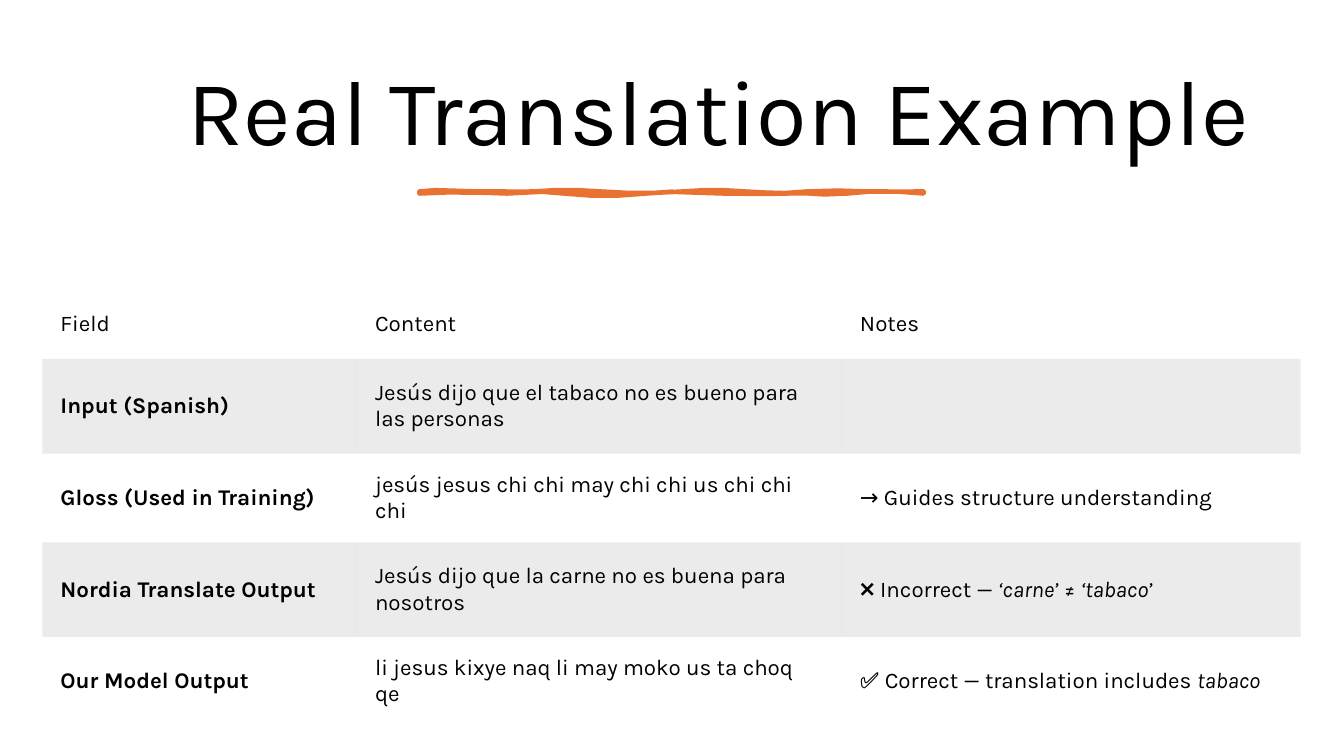
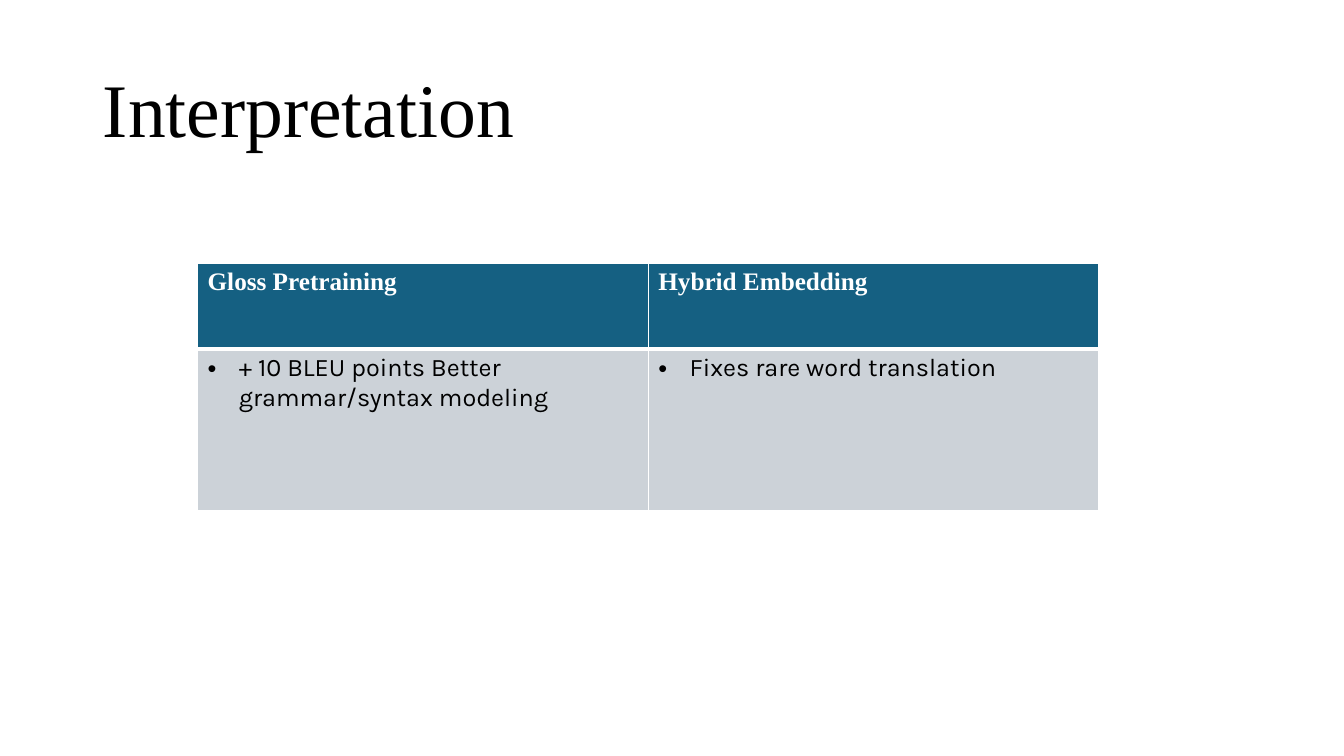
"""Build two slides about translation results."""
from dataclasses import dataclass
from typing import NamedTuple

from lxml import etree
from pptx import Presentation
from pptx import util as u
from pptx.dml.color import RGBColor
from pptx.enum import text
from pptx.oxml.ns import qn

PX = 9144


@dataclass(frozen=True)
class Theme:
    """Hold the shared colours, fonts and type sizes."""
    ink: str = "000000"
    paper: str = "FFFFFF"
    accent: str = "E97132"
    header: str = "156082"
    body: str = "CCD2D8"
    sans: str = "Karla"
    serif: str = "Times New Roman"
    title_large: int = 66
    title: int = 54
    cell_large: int = 18
    cell: int = 16
    band_alpha: int = 8


class Box(NamedTuple):
    """Give a position and size in px."""
    x: int
    y: int
    w: int
    h: int


class Span(NamedTuple):
    """Give a stretch of text with its emphasis."""
    text: str
    bold: bool = False
    italic: bool = False


class Margins(NamedTuple):
    """Give the inner margins of a cell in px."""
    left: int = 10
    top: int = 5
    right: int = 10
    bottom: int = 5


@dataclass(frozen=True)
class CellStyle:
    """Describe how a table cell looks."""
    font: str
    size: int
    color: str
    fill: str | None = None
    alpha: int | None = None
    margins: Margins = Margins()
    anchor: text.MSO_ANCHOR = text.MSO_ANCHOR.TOP
    borders: tuple[int, int, int, int] = (0, 0, 0, 0)
    bullet: bool = False


T = Theme()
ROOMY = Margins(18, 18, 20, 18)
PLAIN = CellStyle(T.sans, T.cell, T.ink, margins=ROOMY, anchor=text.MSO_ANCHOR.MIDDLE)
BAND = CellStyle(T.sans, T.cell, T.ink, T.ink, T.band_alpha, ROOMY, text.MSO_ANCHOR.MIDDLE)
HEAD = CellStyle(T.serif, T.cell_large, T.paper, T.header, borders=(1, 1, 1, 3))
POINT = CellStyle(T.sans, T.cell_large, T.ink, T.body, borders=(1, 1, 3, 1), bullet=True)

EXAMPLE_ROWS = [
    [[Span("Field")], [Span("Content")], [Span("Notes")]],
    [[Span("Input (Spanish)", bold=True)],
     [Span("Jesús dijo que el tabaco no es bueno para las personas")],
     []],
    [[Span("Gloss (Used in Training)", bold=True)],
     [Span("jesús jesus chi chi may chi chi us chi chi chi")],
     [Span("→ Guides structure understanding")]],
    [[Span("Nordia Translate Output", bold=True)],
     [Span("Jesús dijo que la carne no es buena para nosotros")],
     [Span("❌ Incorrect — "), Span("‘carne’", italic=True), Span(" ≠ "),
      Span("‘tabaco’", italic=True)]],
    [[Span("Our Model Output", bold=True)],
     [Span("li jesus kixye naq li may moko us ta choq qe")],
     [Span("✅ Correct — translation includes "), Span("tabaco", italic=True)]],
]

FINDING_ROWS = [
    [[Span("Gloss Pretraining", bold=True)], [Span("Hybrid Embedding", bold=True)]],
    [[Span("+ 10 BLEU points Better grammar/syntax modeling")],
     [Span("Fixes rare word translation")]],
]

STROKE_START = (416, 190)
STROKE_CURVES = [
    (428, 187, 454, 190, 473, 190), (492, 189, 509, 191, 529, 190),
    (549, 188, 574, 188, 596, 190), (617, 192, 653, 192, 677, 190),
    (702, 188, 714, 188, 739, 190), (763, 191, 774, 193, 800, 190),
    (826, 187, 867, 192, 916, 190), (917, 191, 916, 191, 916, 192),
    (895, 190, 865, 188, 840, 192), (815, 195, 801, 190, 779, 192),
    (756, 193, 747, 192, 717, 192), (687, 192, 667, 188, 641, 192),
    (614, 195, 585, 195, 559, 192), (534, 188, 523, 192, 503, 192),
    (483, 191, 438, 190, 416, 192),
]


def px(n: float) -> u.Emu:
    """Turn px into EMU."""
    return u.Emu(round(n * PX))


def rgb(color: str) -> RGBColor:
    """Turn a hex string into a colour."""
    return RGBColor.from_string(color)


def add_text(p, content: str, *, font: str, size: int, color: str,
             bold: bool = False, italic: bool = False) -> None:
    """Append a formatted run to a paragraph."""
    r = p.add_run()
    r.text = content
    r.font.name = font
    r.font.size = u.Pt(size)
    r.font.color.rgb = rgb(color)
    r.font.bold = bold
    r.font.italic = italic


def set_indent(p, left: int, first: int = 0):
    """Indent a paragraph and return its properties element."""
    p_pr = p._p.get_or_add_pPr()
    p_pr.set("marL", str(px(left)))
    p_pr.set("indent", str(px(first)))
    return p_pr


def add_titled_slide(prs, title: str, box: Box, *, font: str, size: int,
                     align: text.PP_ALIGN, indent: int = 0):
    """Add a slide and format its title placeholder."""
    s = prs.slides.add_slide(prs.slide_layouts[5])
    sp = s.shapes.title
    sp.left, sp.top, sp.width, sp.height = map(px, box)
    tf = sp.text_frame
    tf.word_wrap = True
    tf.auto_size = text.MSO_AUTO_SIZE.NONE
    tf.vertical_anchor = text.MSO_ANCHOR.MIDDLE
    p = tf.paragraphs[0]
    p.alignment = align
    p.line_spacing = 0.9
    set_indent(p, indent)
    add_text(p, title, font=font, size=size, color=T.ink)
    return s


def set_borders(tc_pr, widths: tuple[int, int, int, int]) -> None:
    """Set left, right, top and bottom borders, hiding those of zero width."""
    for i, (side, width) in enumerate(zip("LRTB", widths)):
        ln = etree.Element(qn(f"a:ln{side}"), w=str(u.Pt(width)))
        if width:
            fill = etree.SubElement(ln, qn("a:solidFill"))
            etree.SubElement(fill, qn("a:srgbClr"), val=T.paper)
        else:
            etree.SubElement(ln, qn("a:noFill"))
        tc_pr.insert(i, ln)


def fill_cell(cell, spans: list[Span], style: CellStyle) -> None:
    """Write and format one table cell."""
    (cell.margin_left, cell.margin_top,
     cell.margin_right, cell.margin_bottom) = map(px, style.margins)
    cell.vertical_anchor = style.anchor
    tc_pr = cell._tc.get_or_add_tcPr()
    if style.fill:
        cell.fill.solid()
        cell.fill.fore_color.rgb = rgb(style.fill)
    else:
        cell.fill.background()
    if style.alpha:
        clr = tc_pr.find(f".//{qn('a:srgbClr')}")
        etree.SubElement(clr, qn("a:alpha"), val=str(style.alpha * 1000))
    set_borders(tc_pr, style.borders)
    p = cell.text_frame.paragraphs[0]
    if style.bullet:
        p_pr = set_indent(p, 31, -31)
        etree.SubElement(p_pr, qn("a:buFont"), typeface="Arial")
        etree.SubElement(p_pr, qn("a:buChar"), char="•")
    for span in spans:
        add_text(p, span.text, font=style.font, size=style.size, color=style.color,
                 bold=span.bold, italic=span.italic)


def add_grid(s, box: Box, cols: list[int], heights: list[int],
             rows: list[list[list[Span]]], styles: list[CellStyle]) -> None:
    """Add a table with one style per row."""
    table = s.shapes.add_table(len(rows), len(cols), *map(px, box)).table
    table.first_row = table.horz_banding = False
    for col, width in zip(table.columns, cols):
        col.width = px(width)
    for row, height, contents, style in zip(table.rows, heights, rows, styles):
        row.height = px(height)
        for cell, spans in zip(row.cells, contents):
            fill_cell(cell, spans, style)


def curve_points(start: tuple[int, int], curves: list[tuple[int, ...]],
                 steps: int = 3) -> list[tuple[int, int]]:
    """Sample a chain of cubic curves as EMU points."""
    points = []
    x0, y0 = start
    for x1, y1, x2, y2, x3, y3 in curves:
        for i in range(1, steps + 1):
            t = i / steps
            a, b, c, d = (1 - t) ** 3, 3 * t * (1 - t) ** 2, 3 * t * t * (1 - t), t ** 3
            points.append((px(a * x0 + b * x1 + c * x2 + d * x3),
                           px(a * y0 + b * y1 + c * y2 + d * y3)))
        x0, y0 = x3, y3
    return points


def add_brush_stroke(s) -> None:
    """Draw the wavy underline below the title."""
    builder = s.shapes.build_freeform(*map(px, STROKE_START))
    builder.add_line_segments(curve_points(STROKE_START, STROKE_CURVES), close=True)
    sp = builder.convert_to_shape()
    sp.shadow.inherit = False
    sp.fill.solid()
    sp.fill.fore_color.rgb = rgb(T.accent)
    sp.line.color.rgb = rgb(T.accent)
    sp.line.width = u.Pt(3.25)


def main() -> None:
    """Build and save the presentation."""
    prs = Presentation()
    prs.slide_width, prs.slide_height = px(1333), px(750)

    s = add_titled_slide(prs, "Real Translation Example", Box(70, 46, 1193, 137),
                         font=T.sans, size=T.title_large, align=text.PP_ALIGN.CENTER,
                         indent=92)
    add_brush_stroke(s)
    add_grid(s, Box(42, 288, 1248, 392), [312, 481, 455], [68, 94, 68, 94, 68],
             EXAMPLE_ROWS, [PLAIN, BAND, PLAIN, BAND, PLAIN])

    s = add_titled_slide(prs, "Interpretation", Box(92, 40, 1150, 145),
                         font=T.serif, size=T.title, align=text.PP_ALIGN.LEFT)
    add_grid(s, Box(196, 261, 894, 246), [447, 447], [85, 161],
             FINDING_ROWS, [HEAD, POINT])

    prs.save("out.pptx")


if __name__ == "__main__":
    main()
